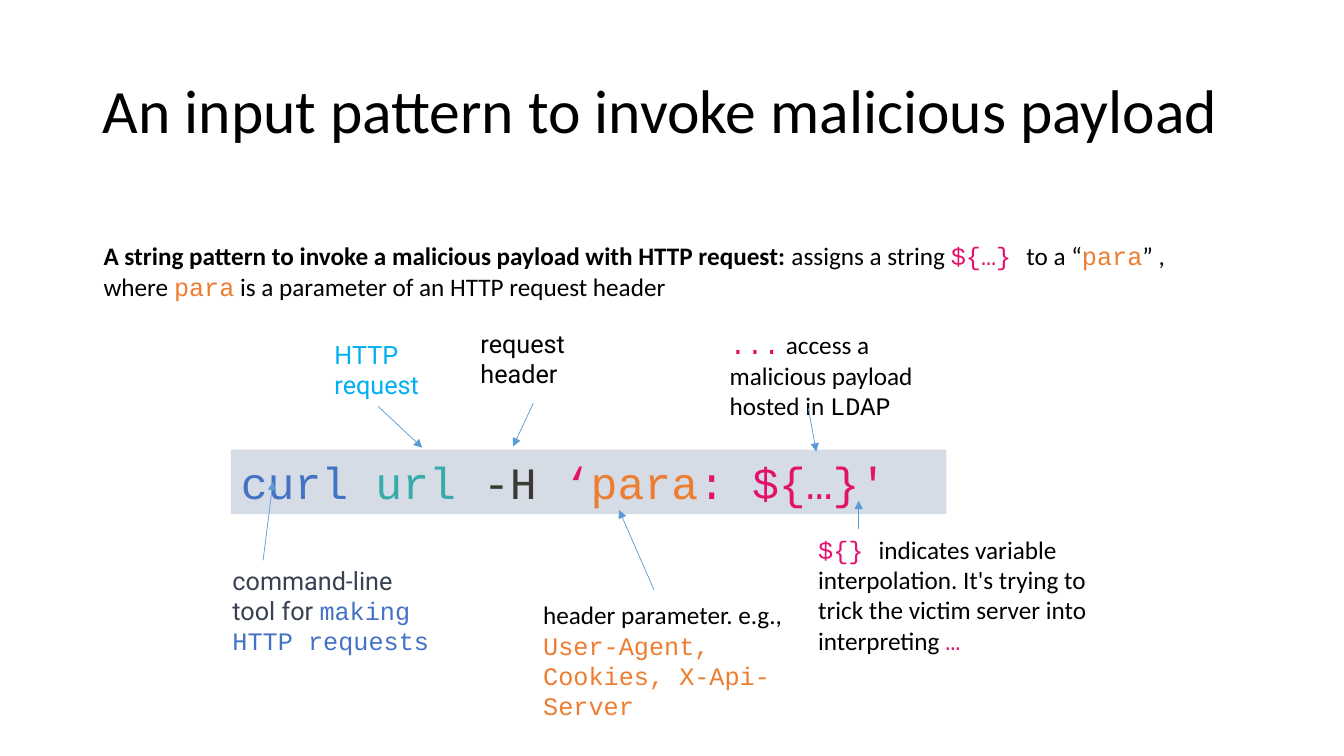
from pptx import Presentation
from pptx import util as u
from pptx.dml import color
from pptx.enum import shapes, text
from pptx.oxml import ns
from lxml import etree

SANS, MONO, ROBO = "Calibri", "Courier New", "Roboto"
BLACK, PINK, ORANGE, BLUE = "000000", "E3116C", "ED7D31", "4472C4"


def rgb(code):
    return color.RGBColor.from_string(code)


def run(words, font=SANS, ink=BLACK, size=18, bold=False):
    """Pair a run's words with its format."""
    return words, font, ink, size, bold


class Slide:
    line = "5B9BD5"

    def __init__(self, deck):
        self.shapes = deck.slides.add_slide(deck.slide_layouts[6]).shapes

    def fill_text(self, shape, runs, anchor=text.MSO_ANCHOR.TOP, space=1.0):
        frame = shape.text_frame
        frame.word_wrap = True
        frame.vertical_anchor = anchor
        para = frame.paragraphs[0]
        para.alignment = text.PP_ALIGN.LEFT
        para.line_spacing = space
        for words, font, ink, size, bold in runs:
            part = para.add_run()
            part.text = words
            part.font.name = font
            part.font.size = u.Pt(size)
            part.font.bold = bold
            part.font.color.rgb = rgb(ink)

    def label(self, place, *runs, **layout):
        box = self.shapes.add_textbox(*map(u.Cm, place))
        self.fill_text(box, runs, **layout)

    def panel(self, place, fill, *runs):
        box = self.shapes.add_shape(shapes.MSO_SHAPE.RECTANGLE, *map(u.Cm, place))
        box.shadow.inherit = False
        box.fill.solid()
        box.fill.fore_color.rgb = rgb(fill)
        box.line.fill.background()
        self.fill_text(box, runs)

    def arrow(self, *ends):
        link = self.shapes.add_connector(shapes.MSO_CONNECTOR.STRAIGHT, *map(u.Cm, ends))
        link.line.color.rgb = rgb(self.line)
        link.line.width = u.Pt(0.5)
        props = link._element.spPr
        etree.SubElement(props.find(ns.qn("a:ln")), ns.qn("a:tailEnd"), type="triangle")
        etree.SubElement(props, ns.qn("a:effectLst"))


def main():
    deck = Presentation()
    deck.slide_width, deck.slide_height = u.Cm(33.87), u.Cm(19.05)
    page = Slide(deck)

    page.label((2.34, 1.02, 29.21, 3.68),
               run("An input pattern to invoke malicious payload", size=44),
               anchor=text.MSO_ANCHOR.MIDDLE, space=0.9)
    page.label((2.36, 5.94, 28.7, 1.8),
               run("A string pattern to invoke a malicious payload with HTTP request: ", bold=True),
               run("assigns a string "),
               run("${…} ", MONO, PINK),
               run("to a “"),
               run("para", MONO, ORANGE),
               run("” , where "),
               run("para", MONO, ORANGE),
               run(" is a parameter of an HTTP request header"))

    command = [("curl ", BLUE), ("url", "36ACAA"), (" -H ", "393A34"),
               ("‘", PINK), ("para", ORANGE), (": ${…}'", PINK)]
    page.panel((5.82, 11.33, 18.03, 1.63), "D6DCE5",
               *[run(words, MONO, ink, 32) for words, ink in command])

    # Notes above the command
    page.label((8.18, 8.43, 2.69, 1.8), run("HTTP request", ROBO, "00B0F0"))
    page.label((11.86, 8.15, 2.69, 1.8), run("request header", ROBO))
    page.label((18.14, 8.1, 5.23, 2.64),
               run("...", MONO, PINK, 20),
               run(" access a malicious payload hosted in "),
               run("LDAP", MONO))

    # Notes below the command
    page.label((5.61, 14.12, 5.54, 2.57),
               run("command-line tool for ", ROBO, "374151"),
               run("making HTTP requests", MONO, BLUE))
    page.label((13.44, 14.99, 6.55, 3.33),
               run("header parameter. e.g., "),
               run("User-Agent, Cookies, X-Api-Server", MONO, ORANGE))
    page.label((20.37, 13.34, 7.92, 3.33),
               run("${} ", MONO, PINK),
               run("indicates variable interpolation. It's trying to trick "
                   "the victim server into interpreting "),
               run("…", MONO, PINK))

    for ends in [(9.53, 10.24, 10.64, 11.28),
                 (13.44, 10.16, 12.93, 11.25),
                 (20.37, 10.29, 20.57, 11.38),
                 (6.63, 14.12, 6.88, 12.14),
                 (16.48, 14.86, 15.6, 12.85),
                 (21.64, 13.34, 21.64, 12.62)]:
        page.arrow(*ends)

    deck.save("out.pptx")


if __name__ == "__main__":
    main()
